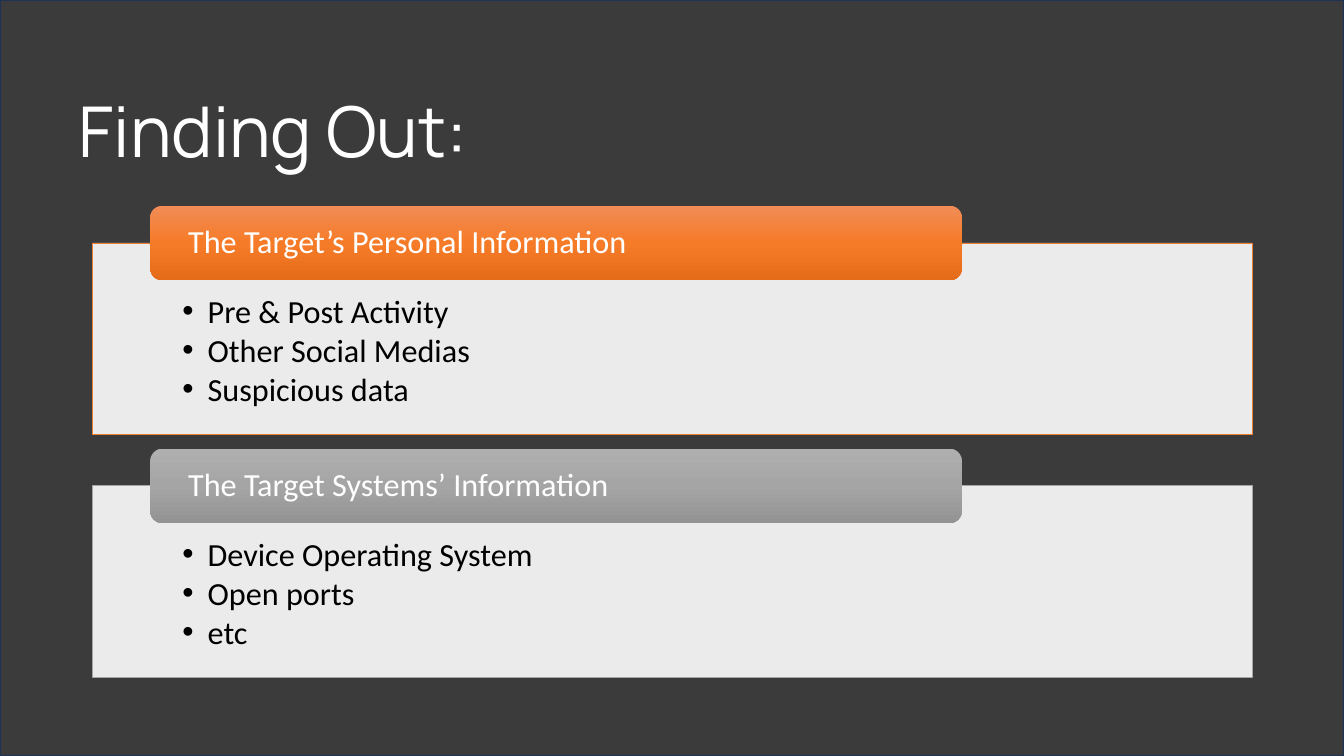
import copy

import pptx
import pptx.dml.color
import pptx.enum.shapes
import pptx.enum.text
import pptx.oxml.ns
import pptx.util
from lxml import etree

Inches = pptx.util.Inches
Pt = pptx.util.Pt
RGBColor = pptx.dml.color.RGBColor
SHAPE = pptx.enum.shapes.MSO_SHAPE
ANCHOR = pptx.enum.text.MSO_ANCHOR
ALIGN = pptx.enum.text.PP_ALIGN
qn = pptx.oxml.ns.qn

BLACK = RGBColor(0x00, 0x00, 0x00)
WHITE = RGBColor(0xFF, 0xFF, 0xFF)
NAVY = RGBColor(0x1E, 0x32, 0x56)
ORANGE = RGBColor(0xED, 0x7D, 0x31)
ORANGES = [RGBColor(0xF1, 0x8C, 0x57), RGBColor(0xF6, 0x7B, 0x28), RGBColor(0xE5, 0x6C, 0x19)]
GRAY = RGBColor(0xA5, 0xA5, 0xA5)
GRAYS = [RGBColor(0xAF, 0xAF, 0xAF), GRAY, RGBColor(0x93, 0x93, 0x93)]

GROUPS = [
    ("The Target’s Personal Information", ORANGE, ORANGES,
     ["Pre & Post Activity", "Other Social Medias", "Suspicious data"]),
    ("The Target Systems’ Information", GRAY, GRAYS,
     ["Device Operating System", "Open ports", "etc"]),
]


def add_pane(left, top, width, height, color, alpha, edge, weight):
    """Add a see-through rectangle; alpha is its opacity in percent."""
    pane = slide.shapes.add_shape(SHAPE.RECTANGLE, left, top, width, height)
    pane.shadow.inherit = False
    pane.fill.solid()
    pane.fill.fore_color.rgb = color
    tint = pane._element.spPr.find(qn("a:solidFill"))[0]
    etree.SubElement(tint, qn("a:alpha")).set("val", str(alpha * 1000))
    pane.line.color.rgb = edge
    pane.line.width = Pt(weight)
    return pane


def add_text(para, text, face, size, color):
    para.alignment = ALIGN.LEFT
    para.line_spacing = 0.9
    run = para.add_run()
    run.text = text
    run.font.name = face
    run.font.size = Pt(size)
    run.font.color.rgb = color


deck = pptx.Presentation()
deck.slide_width = Inches(13.33)
deck.slide_height = Inches(7.5)
slide = deck.slides.add_slide(deck.slide_layouts[5])

# Dark backdrop, placed behind the title
shade = add_pane(0, 0, deck.slide_width, deck.slide_height, BLACK, 77, NAVY, 1)
slide.shapes._spTree.insert(2, shade._element)

title = slide.shapes.title
title.left, title.top = Inches(0.68), Inches(0.73)
title.width, title.height = Inches(11.5), Inches(1.03)
title.text_frame.vertical_anchor = ANCHOR.BOTTOM
add_text(title.text_frame.paragraphs[0], "Finding Out:", "Manrope", 50, WHITE)

for i, (head, edge, shades, items) in enumerate(GROUPS):
    top = 2.04 + 2.41 * i

    # Panel with bullets
    panel = add_pane(Inches(0.92), Inches(top + 0.37), Inches(11.5), Inches(1.9),
                     WHITE, 90, edge, 0.5)
    frame = panel.text_frame
    frame.word_wrap = True
    frame.vertical_anchor = ANCHOR.TOP
    frame.margin_left = frame.margin_right = Inches(0.89)
    frame.margin_top, frame.margin_bottom = Inches(0.52), Inches(0.18)
    for j, item in enumerate(items):
        para = frame.add_paragraph() if j else frame.paragraphs[0]
        props = para._p.get_or_add_pPr()
        props.set("marL", str(Inches(0.25)))
        props.set("indent", str(-Inches(0.25)))
        etree.SubElement(props, qn("a:buFont")).set("typeface", "Arial")
        etree.SubElement(props, qn("a:buChar")).set("char", "•")
        para.space_after = Pt(3)
        add_text(para, item, "Calibri", 23, BLACK)

    # Heading tab over the panel's upper edge
    tab = slide.shapes.add_shape(SHAPE.ROUNDED_RECTANGLE, Inches(1.49), Inches(top),
                                 Inches(8.05), Inches(0.74))
    tab.shadow.inherit = False
    tab.line.fill.background()
    tab.fill.gradient()
    tab.fill.gradient_angle = 270
    stops = tab._element.spPr.find(qn("a:gradFill")).find(qn("a:gsLst"))
    stops.insert(1, copy.deepcopy(stops[0]))
    for j, (stop, color) in enumerate(zip(tab.fill.gradient_stops, shades)):
        stop.position = j / 2
        stop.color.rgb = color
    frame = tab.text_frame
    frame.word_wrap = True
    frame.vertical_anchor = ANCHOR.MIDDLE
    frame.margin_left = frame.margin_right = Inches(0.34)
    frame.margin_top = frame.margin_bottom = 0
    add_text(frame.paragraphs[0], head, "Calibri", 23, WHITE)

deck.save("out.pptx")
